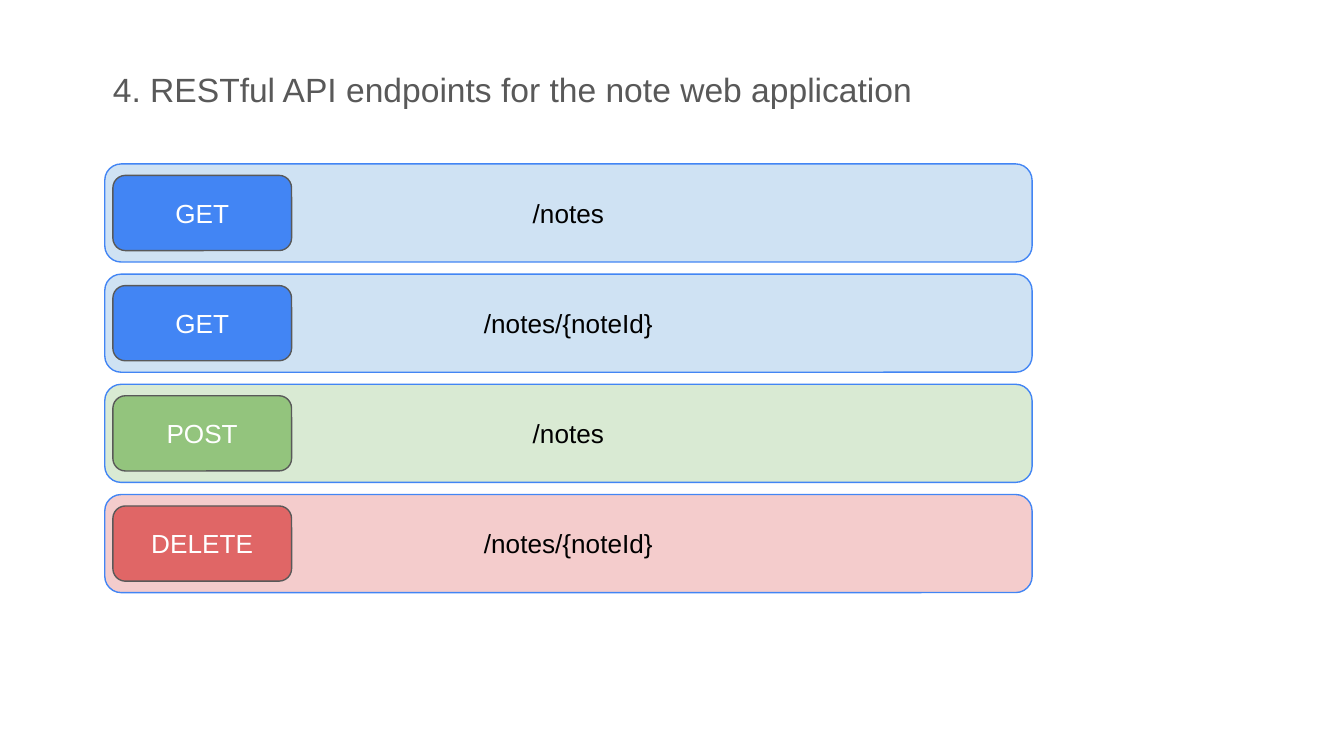
from pptx import Presentation
from pptx import util as u
from pptx.dml.color import RGBColor
from pptx.enum import shapes, text

TITLE = "4. RESTful API endpoints for the note web application"
BLUE = ("4285F4", "CFE2F3")
GREEN = ("93C47D", "D9EAD3")
RED = ("E06666", "F4CCCC")
ENDPOINTS = [
    ("GET", "/notes", BLUE),
    ("GET", "/notes/{noteId}", BLUE),
    ("POST", "/notes", GREEN),
    ("DELETE", "/notes/{noteId}", RED),
]

SLIDE_WIDTH = 10
SLIDE_HEIGHT = SLIDE_WIDTH * 9 / 16
BAR_LEFT, FIRST_TOP, ROW_PITCH = 0.78, 1.22, 0.82
BAR_WIDTH, BAR_HEIGHT = 6.9, 0.73
BADGE_WIDTH, BADGE_HEIGHT, BADGE_INSET = 1.33, 0.56, 0.06


def rgb(color):
    return RGBColor.from_string(color)


def format_text(frame, content, size, color, align, anchor):
    frame.text = content
    frame.word_wrap = True
    frame.vertical_anchor = anchor
    frame.margin_left = frame.margin_right = u.Inches(0.1)
    frame.margin_top = frame.margin_bottom = u.Inches(0.1)
    paragraph = frame.paragraphs[0]
    paragraph.alignment = align
    font = paragraph.runs[0].font
    font.name, font.size = "Arial", u.Pt(size)
    font.color.rgb = rgb(color)


def add_rounded_box(slide, box, label, fill, line, color):
    shape = slide.shapes.add_shape(
        shapes.MSO_SHAPE.ROUNDED_RECTANGLE, *map(u.Inches, box))
    shape.shadow.inherit = False
    shape.fill.solid()
    shape.fill.fore_color.rgb = rgb(fill)
    shape.line.color.rgb = rgb(line)
    shape.line.width = u.Pt(0.75)
    format_text(shape.text_frame, label, 14, color,
                text.PP_ALIGN.CENTER, text.MSO_ANCHOR.MIDDLE)


def main():
    prs = Presentation()
    prs.slide_width = u.Inches(SLIDE_WIDTH)
    prs.slide_height = u.Inches(SLIDE_HEIGHT)
    slide = prs.slides.add_slide(prs.slide_layouts[5])

    title = slide.shapes.title
    title.left, title.top = u.Inches(0.74), u.Inches(0.41)
    title.width, title.height = u.Inches(6.97), u.Inches(0.5)
    format_text(title.text_frame, TITLE, 18, "595959",
                text.PP_ALIGN.LEFT, text.MSO_ANCHOR.TOP)
    title.text_frame.auto_size = text.MSO_AUTO_SIZE.SHAPE_TO_FIT_TEXT

    for row, (method, route, (strong, pale)) in enumerate(ENDPOINTS):
        top = FIRST_TOP + row * ROW_PITCH
        bar = (BAR_LEFT, top, BAR_WIDTH, BAR_HEIGHT)
        badge = (BAR_LEFT + BADGE_INSET, top + (BAR_HEIGHT - BADGE_HEIGHT) / 2,
                 BADGE_WIDTH, BADGE_HEIGHT)
        add_rounded_box(slide, bar, route, pale, "4285F4", "000000")
        add_rounded_box(slide, badge, method, strong, "595959", "FFFFFF")

    prs.save("out.pptx")


if __name__ == "__main__":
    main()
